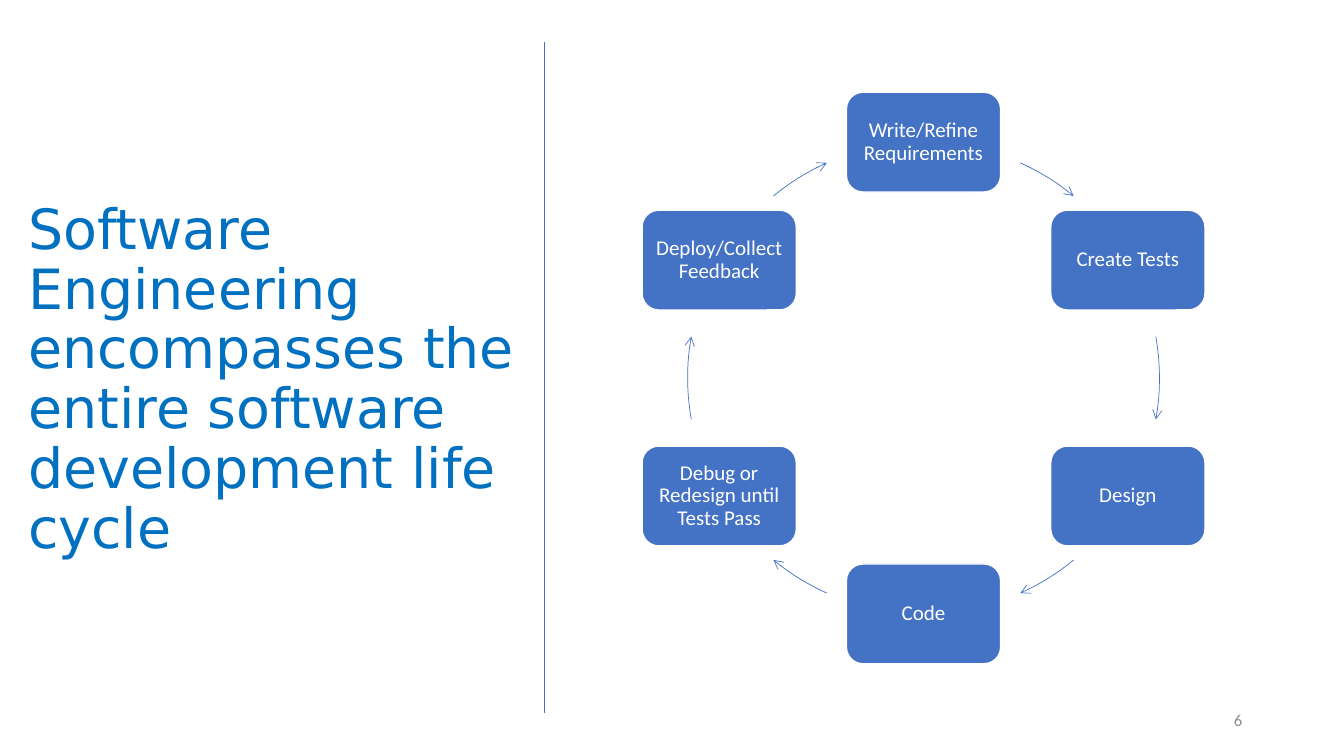
from math import cos, radians, sin

from lxml import etree
from pptx import Presentation, util as u
from pptx.dml.color import RGBColor
from pptx.enum import shapes, text
from pptx.oxml import ns

WIDTH, HEIGHT = 13.33, 7.5
BLUE, TITLE_BLUE, WHITE, GREY = "4472C4", "0070C0", "FFFFFF", "8C8C8C"
STEPS = [
    "Write/Refine Requirements",
    "Create Tests",
    "Design",
    "Code",
    "Debug or Redesign until Tests Pass",
    "Deploy/Collect Feedback",
]
TURN = 360 / len(STEPS)
LEAVE_GAPS = [24.2, 19.9, 20.5] * 2
ARRIVE_GAPS = [20.5, 19.9, 24.2] * 2


def color(value):
    """Turn a hex string into a colour."""
    return RGBColor.from_string(value)


def inches(*lengths):
    """Convert lengths in inches for python-pptx."""
    return [u.Inches(length) for length in lengths]


def style_text(frame, words, size, font, ink, align, anchor):
    """Fill a text frame with one formatted paragraph."""
    frame.text = words
    frame.word_wrap = True
    frame.auto_size = text.MSO_AUTO_SIZE.NONE
    frame.vertical_anchor = anchor
    para = frame.paragraphs[0]
    para.alignment = align
    para.line_spacing = 0.9
    for span in para.runs:
        span.font.size = u.Pt(size)
        span.font.name = font
        span.font.color.rgb = color(ink)


def style_line(shape, ink, width):
    """Set the outline colour and width of a shape."""
    shape.line.color.rgb = color(ink)
    shape.line.width = u.Pt(width)


def add_heading(page, left, top, width, height):
    """Place the title in its box."""
    title = page.shapes.title
    title.left, title.top, title.width, title.height = inches(left, top, width, height)
    style_text(
        title.text_frame,
        "Software Engineering encompasses the entire software development life cycle",
        39.6, "DejaVu Sans", TITLE_BLUE, text.PP_ALIGN.LEFT, text.MSO_ANCHOR.BOTTOM,
    )


def add_divider(page, x, top, bottom):
    """Draw the vertical rule between the title and the cycle."""
    divider = page.shapes.add_connector(
        shapes.MSO_CONNECTOR.STRAIGHT, *inches(x, top, x, bottom))
    style_line(divider, BLUE, 0.5)
    etree.SubElement(divider._element.spPr, ns.qn("a:effectLst"))


def add_step(page, words, center_x, center_y, width, height):
    """Draw one step of the cycle around its centre."""
    step = page.shapes.add_shape(
        shapes.MSO_SHAPE.ROUNDED_RECTANGLE,
        *inches(center_x - width / 2, center_y - height / 2, width, height))
    step.shadow.inherit = False
    step.fill.solid()
    step.fill.fore_color.rgb = color(BLUE)
    style_line(step, WHITE, 1)
    frame = step.text_frame
    frame.margin_left = frame.margin_right = u.Inches(0.06)
    frame.margin_top = frame.margin_bottom = u.Inches(0.06)
    style_text(frame, words, 15, "Calibri", WHITE,
               text.PP_ALIGN.CENTER, text.MSO_ANCHOR.MIDDLE)


def add_arc_arrow(page, left, top, size, start, end):
    """Draw an arrow along the circle between two angles in degrees."""
    arc = page.shapes.add_shape(shapes.MSO_SHAPE.ARC, *inches(left, top, size, size))
    arc.shadow.inherit = False
    arc.fill.background()
    for index, angle in enumerate((start, end)):
        arc.adjustments[index] = angle % 360 * 0.6
    style_line(arc, BLUE, 0.5)
    etree.SubElement(arc.line._get_or_add_ln(), ns.qn("a:tailEnd"), type="arrow")


def add_cycle(page, left, top, size):
    """Place the steps and arrows on the circle inscribed in a square."""
    radius = size / 2
    for index, words in enumerate(STEPS):
        angle = index * TURN - 90
        add_step(page, words,
                 left + radius + radius * cos(radians(angle)),
                 top + radius + radius * sin(radians(angle)),
                 1.53, 0.99)
        add_arc_arrow(page, left, top, size,
                      angle + LEAVE_GAPS[index],
                      angle + TURN - ARRIVE_GAPS[index])


def add_page_number(page, left, top, width, height):
    """Write the page number at the right of its box."""
    box = page.shapes.add_textbox(*inches(left, top, width, height))
    style_text(box.text_frame, "6", 12, "Calibri", GREY,
               text.PP_ALIGN.RIGHT, text.MSO_ANCHOR.MIDDLE)


def main():
    """Build and save the slide."""
    deck = Presentation()
    deck.slide_width, deck.slide_height = inches(WIDTH, HEIGHT)
    page = deck.slides.add_slide(deck.slide_layouts.get_by_name("Title Only"))
    add_page_number(page, 9.42, 6.95, 3, 0.4)
    add_heading(page, 0.18, 1.8, 5.07, 3.81)
    add_cycle(page, 6.82, 1.41, 4.68)
    add_divider(page, 5.4, 0.42, 7.07)
    deck.save("out.pptx")


if __name__ == "__main__":
    main()
